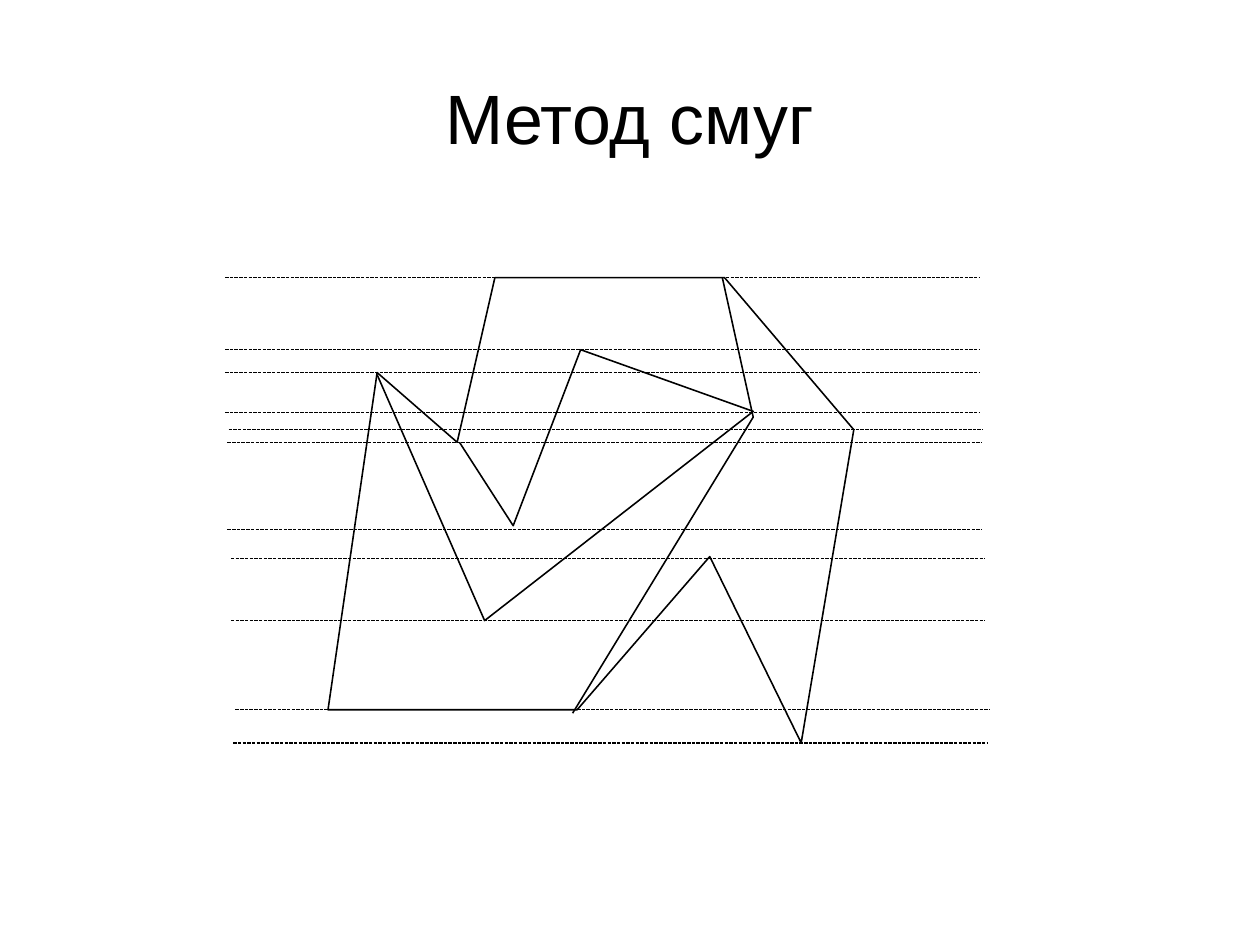
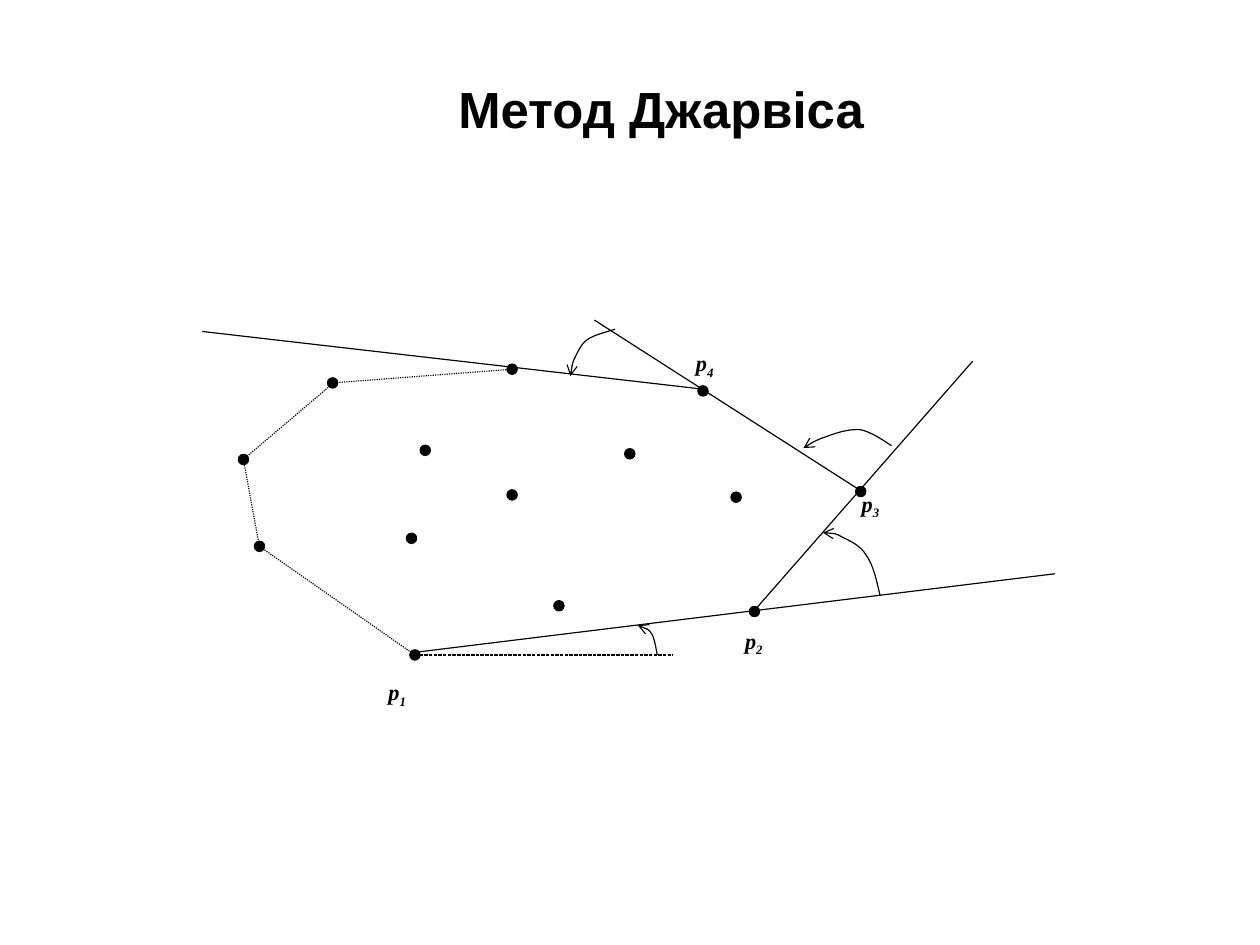
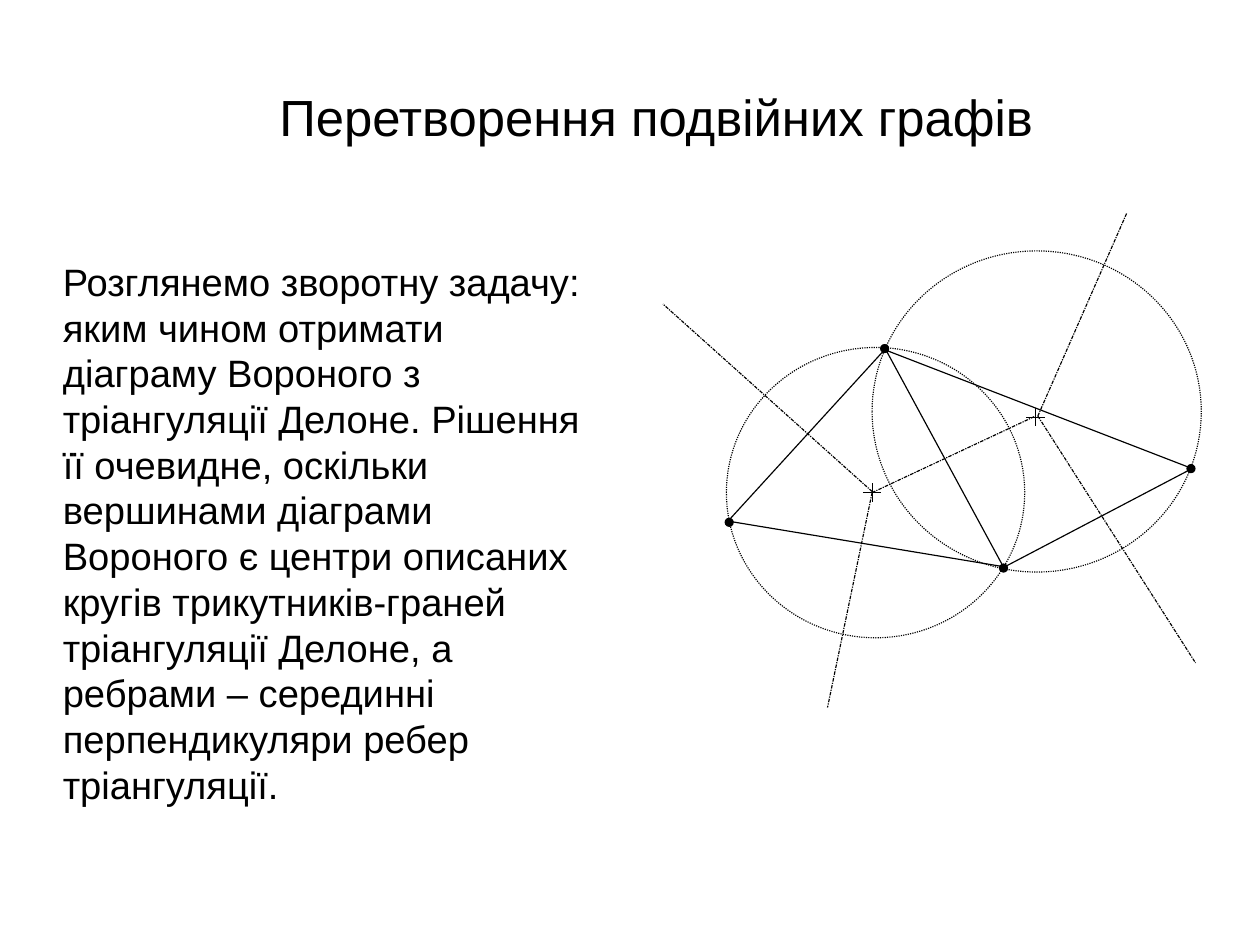
from lxml.etree import SubElement
from pptx import Presentation
from pptx.dml.color import RGBColor
from pptx.enum.shapes import MSO_CONNECTOR, MSO_SHAPE
from pptx.enum.text import MSO_ANCHOR, MSO_AUTO_SIZE, PP_ALIGN
from pptx.oxml.ns import qn
from pptx.util import Inches, Pt

BLACK, WHITE = "000000", "FFFFFF"
THIN, MEDIUM = 0.75, 1
DASHED, DOTTED, DASH_DOT = "sysDash", "sysDot", "sysDashDot"
CM_PER_INCH = 2.54
TITLE_LEFT, TITLE_WIDTH = 0.55, 9.92

# Slide 1: strips as (left, y)
STRIP_LENGTH = 6.6
STRIPS = [(1.97, 2.43), (1.97, 3.06), (1.97, 3.26), (1.97, 3.61), (2, 3.76),
          (1.99, 3.87), (1.99, 4.63), (2.02, 4.89), (2.02, 5.43),
          (2.06, 6.21), (2.04, 6.5)]
POLYGON = [(3.3, 3.26), (2.87, 6.21), (5.05, 6.21), (6.21, 4.87), (7.01, 6.5),
           (7.47, 3.76), (6.34, 2.43), (4.33, 2.43), (4, 3.87)]
INNER_CHAINS = [
    [(4.02, 3.87), (4.49, 4.6), (5.08, 3.06), (6.59, 3.6), (4.24, 5.43), (3.3, 3.28)],
    [(6.32, 2.43), (6.59, 3.65), (5.01, 6.24)],
]

# Slide 2
POINT_SIZE = 0.09
POINTS = [(6.15, 3.42), (3.63, 5.73), (4.48, 4.33), (6.6, 5.35), (4.89, 5.3),
          (3.6, 4.71), (2.27, 4.78), (6.44, 4.35), (7.53, 4.3), (4.48, 3.23),
          (3.72, 3.94), (2.13, 4.02), (5.51, 3.97), (2.91, 3.35)]
RAYS = [((3.61, 5.71), (9.23, 5.02)), ((6.61, 5.33), (8.51, 3.16)),
        ((7.51, 4.28), (5.2, 2.8)), ((6.11, 3.4), (1.77, 2.9))]
BASE_RAY = ((3.63, 5.73), (5.89, 5.73))
HULL_REST = [(4.49, 3.23), (2.92, 3.35), (2.13, 4.02), (2.27, 4.78), (3.63, 5.73)]
# Each arc: a start, then two control points and an end for every Bezier piece
ANGLE_ARCS = [
    [(5.75, 5.73), (5.74, 5.67), (5.73, 5.61), (5.71, 5.56), (5.69, 5.52),
     (5.66, 5.5), (5.64, 5.49), (5.62, 5.47), (5.6, 5.47), (5.58, 5.47)],
    [(7.7, 5.21), (7.67, 5.08), (7.64, 4.94), (7.58, 4.86), (7.53, 4.77),
     (7.43, 4.73), (7.37, 4.7), (7.31, 4.66), (7.25, 4.66), (7.2, 4.66)],
    [(7.8, 3.9), (7.71, 3.84), (7.62, 3.78), (7.53, 3.76), (7.43, 3.75),
     (7.31, 3.79), (7.23, 3.82), (7.14, 3.85), (7.09, 3.88), (7.03, 3.92)],
    [(5.38, 2.88), (5.29, 2.91), (5.2, 2.93), (5.14, 2.97), (5.08, 3.01),
     (5.05, 3.09), (5.02, 3.15), (5, 3.2), (5, 3.24), (4.99, 3.29)],
]
LABELS = [("1", 3.3, 5.64), ("2", 6.42, 5.19), ("3", 7.44, 3.99), ("4", 5.99, 2.76)]

# Slide 3
TASK = ("Розглянемо зворотну задачу: яким чином отримати діаграму Вороного з "
        "тріангуляції Делоне. Рішення її очевидне, оскільки вершинами діаграми "
        "Вороного є центри описаних кругів трикутників-граней тріангуляції Делоне, "
        "а ребрами – серединні перпендикуляри ребер тріангуляції.")
VERTEX_SIZE = 0.07
VERTICES = [(7.74, 3.05), (8.78, 4.97), (6.38, 4.57), (10.42, 4.1)]
QUADRILATERAL = [(8.79, 4.96), (6.37, 4.56), (7.74, 3.06), (10.43, 4.1)]
DIAGONAL = ((7.75, 3.06), (8.79, 4.98))
CIRCLES = [((7.66, 4.31), 2.61, 2.54), ((9.07, 3.6), 2.88, 2.81)]
CENTRES = [(7.63, 4.31), (9.06, 3.65)]
CROSS_ARM = 0.08
VORONOI_EDGES = [((7.63, 4.31), (9.06, 3.64)), ((7.63, 4.31), (7.24, 6.19)),
                 ((7.63, 4.3), (5.8, 2.66)), ((9.08, 3.64), (9.86, 1.86)),
                 ((9.08, 3.64), (10.46, 5.8))]


def colour(value):
    return RGBColor.from_string(value)


def set_all(target, values):
    for name, value in values.items():
        setattr(target, name, value)


def text_format(size, name="Arial", **more):
    return {"size": Pt(size), "name": name, **more}


def set_font(span, values):
    set_all(span.font, values)
    span.font.color.rgb = colour(BLACK)


def set_frame(frame, margins=None):
    set_all(frame, {"word_wrap": True, "auto_size": MSO_AUTO_SIZE.NONE,
                    "vertical_anchor": MSO_ANCHOR.MIDDLE, **(margins or {})})


def no_margins(left=0):
    return {"margin_left": Inches(left), "margin_right": 0,
            "margin_top": 0, "margin_bottom": 0}


def outline(shape, width=THIN, dash=None, arrow=False):
    """Draw the black line of a shape or connector, without a shadow."""
    shape.line.color.rgb = colour(BLACK)
    shape.line.width = Pt(width)
    properties = shape.element.spPr
    line = properties.find(qn("a:ln"))
    if dash:
        SubElement(line, qn("a:prstDash"), val=dash)
    if arrow:
        SubElement(line, qn("a:tailEnd"), type="arrow")
    SubElement(properties, qn("a:effectLst"))


def fill_shape(shape, fill):
    if fill:
        shape.fill.solid()
        shape.fill.fore_color.rgb = colour(fill)
    else:
        shape.fill.background()


def add_line(slide, start, end, dash=None):
    ends = [Inches(value) for value in (*start, *end)]
    outline(slide.shapes.add_connector(MSO_CONNECTOR.STRAIGHT, *ends), dash=dash)


def add_path(slide, points, closed=False, fill=None, **line):
    first, *rest = [(Inches(x), Inches(y)) for x, y in points]
    builder = slide.shapes.build_freeform(*first, scale=1.0)
    builder.add_line_segments(rest, close=closed)
    shape = builder.convert_to_shape()
    fill_shape(shape, fill)
    outline(shape, **line)


def add_oval(slide, centre, width, height, fill=None, dash=None):
    x, y = centre
    box = (x - width / 2, y - height / 2, width, height)
    shape = slide.shapes.add_shape(MSO_SHAPE.OVAL, *[Inches(value) for value in box])
    fill_shape(shape, fill)
    outline(shape, dash=dash)


def bezier_points(controls, steps=8):
    """Sample a chain of cubic Bezier pieces."""
    points = [controls[0]]
    for index in range(0, len(controls) - 1, 3):
        piece = controls[index:index + 4]
        for step in range(1, steps + 1):
            t = step / steps
            weights = ((1 - t) ** 3, 3 * t * (1 - t) ** 2, 3 * t ** 2 * (1 - t), t ** 3)
            points.append(tuple(sum(weight * point[axis] for weight, point
                                    in zip(weights, piece)) for axis in (0, 1)))
    return points


def add_text_box(slide, left, top, width, height, margins=None):
    box = slide.shapes.add_textbox(*[Inches(v) for v in (left, top, width, height)])
    set_frame(box.text_frame, margins)
    return box.text_frame.paragraphs[0]


def add_titled_slide(deck, text, top, height, size, indent=0, bold=False):
    slide = deck.slides.add_slide(deck.slide_layouts[5])
    title = slide.shapes.title
    set_all(title, {"left": Inches(TITLE_LEFT), "top": Inches(top),
                    "width": Inches(TITLE_WIDTH), "height": Inches(height)})
    set_frame(title.text_frame, no_margins(indent))
    para = title.text_frame.paragraphs[0]
    para.alignment = PP_ALIGN.CENTER
    span = para.add_run()
    span.text = text
    set_font(span, text_format(size, bold=bold))
    return slide


def add_point_label(slide, index, left, top):
    para = add_text_box(slide, left, top, 1.02, 0.86)
    for text in ("p", index):
        span = para.add_run()
        span.text = text
        set_font(span, text_format(14, "Times New Roman", bold=True, italic=True))
    span.font._element.set("baseline", "-25000")


def build_strips(deck):
    slide = add_titled_slide(deck, "Метод смуг", 0.33, 1.38, 44)
    add_path(slide, POLYGON, closed=True, fill=WHITE, width=MEDIUM)
    for chain in INNER_CHAINS:
        add_path(slide, chain, width=MEDIUM)
    for left, y in STRIPS:
        add_line(slide, (left, y), (left + STRIP_LENGTH, y), DASHED)


def build_jarvis(deck):
    slide = add_titled_slide(deck, "Метод Джарвіса", 0.26, 1.38, 32,
                             indent=0.55, bold=True)
    for point in POINTS:
        add_oval(slide, point, POINT_SIZE, POINT_SIZE, BLACK)
    for ray in RAYS:
        add_line(slide, *ray)
    add_line(slide, *BASE_RAY, DASHED)
    for arc in ANGLE_ARCS:
        add_path(slide, bezier_points(arc), arrow=True)
    add_path(slide, HULL_REST, dash=DOTTED)
    for label in LABELS:
        add_point_label(slide, *label)


def build_dual_graphs(deck):
    slide = add_titled_slide(deck, "Перетворення подвійних графів", 0.38, 1.28, 32,
                             indent=0.47)
    para = add_text_box(slide, 0.55, 1.98, 4.66, 5.36, no_margins())
    span = para.add_run()
    span.text = TASK
    set_font(span, text_format(24))
    for vertex in VERTICES:
        add_oval(slide, vertex, VERTEX_SIZE, VERTEX_SIZE, BLACK)
    add_path(slide, QUADRILATERAL, closed=True)
    add_line(slide, *DIAGONAL)
    for circle in CIRCLES:
        add_oval(slide, *circle, dash=DOTTED)
    for x, y in CENTRES:
        add_line(slide, (x, y - CROSS_ARM), (x, y + CROSS_ARM))
        add_line(slide, (x - CROSS_ARM, y), (x + CROSS_ARM, y))
    for edge in VORONOI_EDGES:
        add_line(slide, *edge, DASH_DOT)


def main():
    deck = Presentation()
    deck.slide_width = Inches(28 / CM_PER_INCH)
    deck.slide_height = Inches(21 / CM_PER_INCH)
    for build in (build_strips, build_jarvis, build_dual_graphs):
        build(deck)
    deck.save("out.pptx")


if __name__ == "__main__":
    main()
